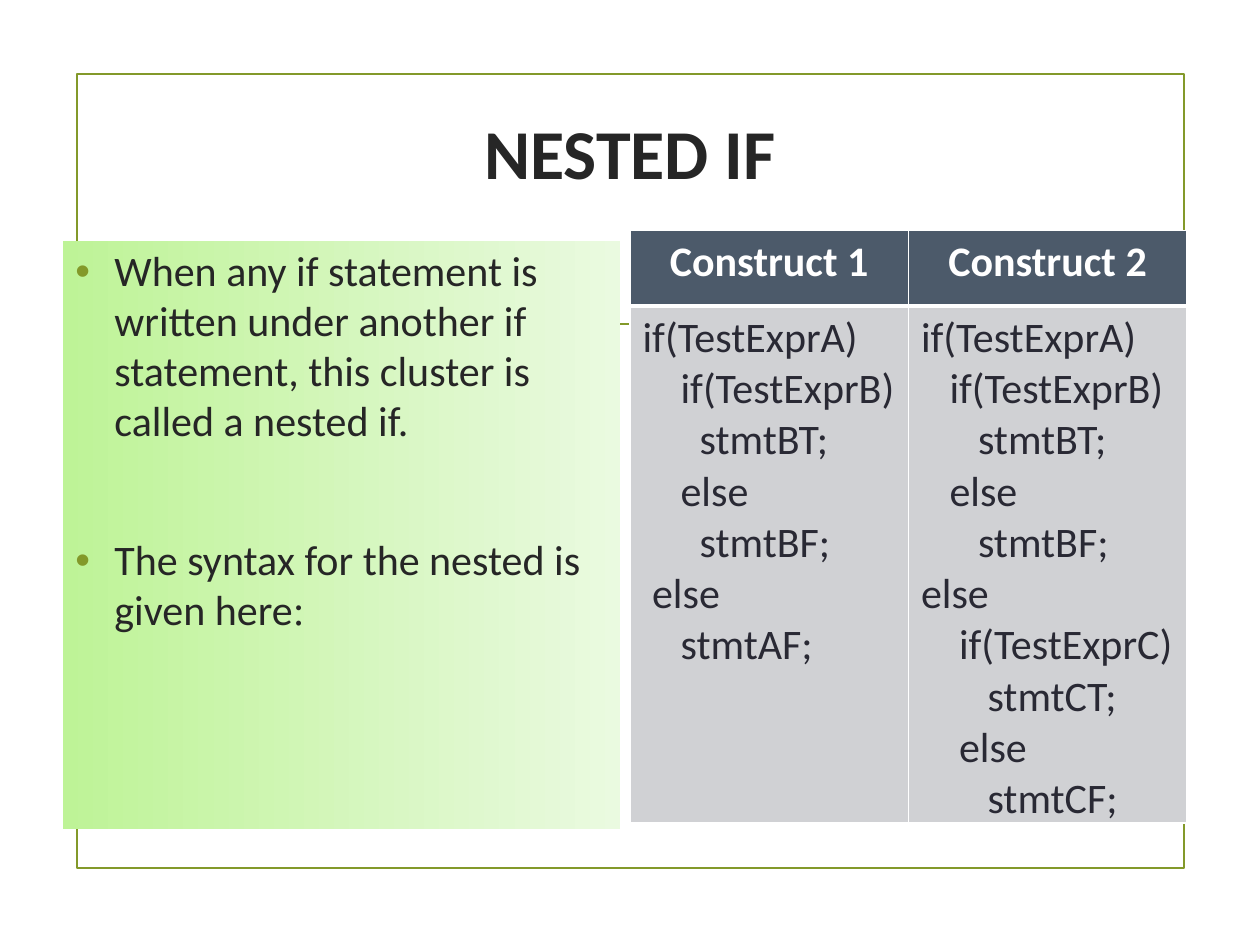
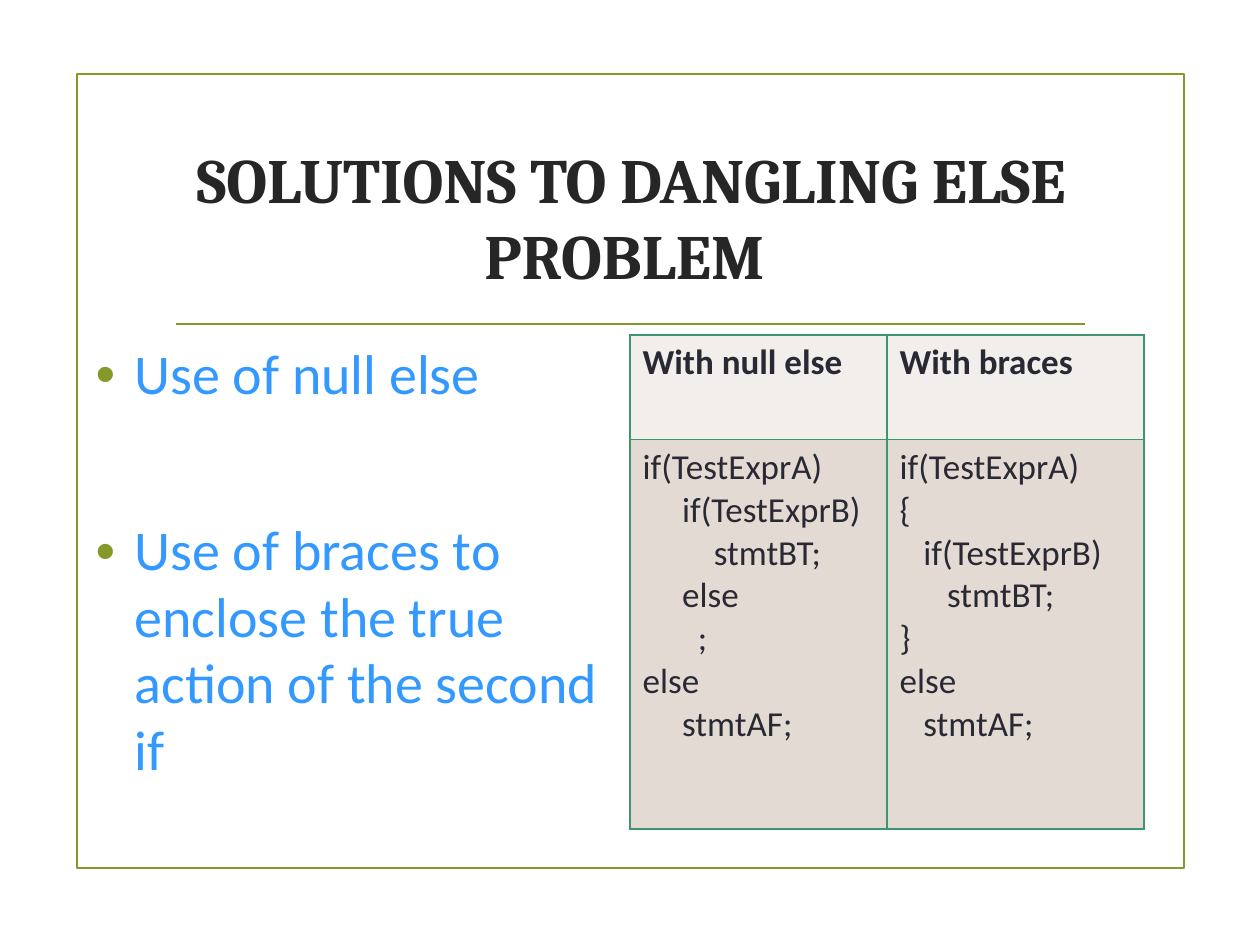
from dataclasses import dataclass

from lxml import etree
from pptx import Presentation
from pptx import util as u
from pptx.dml.color import RGBColor
from pptx.enum import shapes, text
from pptx.oxml import ns


@dataclass(frozen=True)
class Theme:
    olive: str = "83992A"
    title_ink: str = "262626"
    code_ink: str = "292934"
    white: str = "FFFFFF"
    sky: str = "3399FF"
    panel_start: str = "BEF397"
    panel_end: str = "EAFAE0"
    slate: str = "4C5A6A"
    light_gray: str = "D0D1D4"
    cream: str = "F1EEEB"
    beige: str = "E3DBD3"
    green: str = "3C9770"
    body_font: str = "Calibri"
    serif_font: str = "Cambria"
    colon_font: str = "Times New Roman"
    line_width: float = 1.25


THEME = Theme()

NESTED_ONE = """if(TestExprA)
    if(TestExprB)
      stmtBT;
    else
      stmtBF;
 else
    stmtAF;"""

NESTED_TWO = """if(TestExprA)
   if(TestExprB)
      stmtBT;
   else
      stmtBF;
else
    if(TestExprC)
       stmtCT;
    else
       stmtCF;"""

NULL_ELSE = """if(TestExprA)
     if(TestExprB)
         stmtBT;
     else
       ;
else
     stmtAF;"""

BRACES = """if(TestExprA)
{
   if(TestExprB)
      stmtBT;
}
else
   stmtAF;"""


def rgb(color):
    return RGBColor.from_string(color)


def add_element(parent, tag, **attributes):
    return etree.SubElement(parent, ns.qn(tag), attributes)


def set_font(paragraph, name, size, color, bold=False):
    font = paragraph.font
    font.name, font.size, font.bold = name, u.Pt(size), bold
    font.color.rgb = rgb(color)


def inches(*lengths):
    return [u.Inches(length) for length in lengths]


# Shared frame, rule and title
def add_frame(slide):
    frame = slide.shapes.add_shape(
        shapes.MSO_SHAPE.RECTANGLE, *inches(0.61, 0.59, 8.79, 6.3))
    frame.shadow.inherit = False
    frame.fill.background()
    rule = slide.shapes.add_connector(
        shapes.MSO_CONNECTOR.STRAIGHT, *inches(1.4, 2.57, 8.61, 2.57))
    add_element(rule._element.spPr, "a:effectLst")
    for shape in (frame, rule):
        shape.line.color.rgb = rgb(THEME.olive)
        shape.line.width = u.Pt(THEME.line_width)


def add_titled_slide(presentation, title_text, box, font, size):
    slide = presentation.slides.add_slide(presentation.slide_layouts[5])
    add_frame(slide)
    title = slide.shapes.title
    title.left, title.top, title.width, title.height = inches(*box)
    frame = title.text_frame
    frame.text = title_text
    frame.word_wrap = True
    frame.auto_size = text.MSO_AUTO_SIZE.NONE
    frame.vertical_anchor = text.MSO_ANCHOR.MIDDLE
    paragraph = frame.paragraphs[0]
    paragraph.alignment = text.PP_ALIGN.CENTER
    set_font(paragraph, font, size, THEME.title_ink, bold=True)
    return slide


# Bulleted text
def add_bullet(paragraph):
    hanging = u.Inches(0.31)
    properties = paragraph._p.get_or_add_pPr()
    properties.set("marL", str(hanging))
    properties.set("indent", str(-hanging))
    color = add_element(properties, "a:buClr")
    add_element(color, "a:srgbClr", val=THEME.olive)
    add_element(properties, "a:buFont", typeface="Arial")
    add_element(properties, "a:buChar", char="•")


def add_bullet_list(slide, box, items, size, color, gap):
    panel = slide.shapes.add_textbox(*inches(*box))
    frame = panel.text_frame
    frame.word_wrap = True
    for index, item in enumerate(items):
        paragraph = frame.add_paragraph() if index else frame.paragraphs[0]
        paragraph.text = item
        paragraph.line_spacing = 0.99
        if index:
            paragraph.space_before = u.Pt(gap)
        add_bullet(paragraph)
        set_font(paragraph, THEME.body_font, size, color)
    return panel


def fill_with_gradient(shape, start, end):
    shape.fill.gradient()
    shape.fill.gradient_angle = 0
    for stop, color in zip(shape.fill.gradient_stops, (start, end)):
        stop.color.rgb = rgb(color)


# Code tables
def set_borders(cell, color, widths):
    properties = cell._tc.get_or_add_tcPr()
    for side, width in zip("LRTB", widths):
        line = add_element(properties, f"a:ln{side}", w=str(u.Pt(width)))
        fill = add_element(line, "a:solidFill")
        add_element(fill, "a:srgbClr", val=color)


def add_code_table(slide, position, column_width, row_heights, rows, size,
                   fills, header_color, header_align, border, divider):
    table = slide.shapes.add_table(
        2, 2, *inches(*position, 2 * column_width, sum(row_heights))).table
    table.first_row = table.horz_banding = False
    for column in table.columns:
        column.width = u.Inches(column_width)
    for index, (row, height) in enumerate(zip(table.rows, row_heights)):
        row.height = u.Inches(height)
        is_header = index == 0
        widths = (1, 1, 1, divider) if is_header else (1, 1, divider, 1)
        for cell, content in zip(row.cells, rows[index]):
            set_borders(cell, border, widths)
            cell.fill.solid()
            cell.fill.fore_color.rgb = rgb(fills[index])
            cell.text = content
            for paragraph in cell.text_frame.paragraphs:
                paragraph.alignment = (
                    header_align if is_header else text.PP_ALIGN.LEFT)
                set_font(paragraph, THEME.body_font, size,
                         header_color if is_header else THEME.code_ink,
                         bold=is_header)


def build_nested_if(presentation):
    slide = add_titled_slide(presentation, "NESTED IF",
                             (0.58, 0.49, 8.84, 1.43), THEME.body_font, 40)
    panel = add_bullet_list(
        slide, (0.5, 1.91, 4.42, 4.67),
        ["When any if statement is written under another if statement, "
         "this cluster is called a nested if.",
         "The syntax for the nested is given here"],
        size=24, color=THEME.title_ink, gap=50.8)
    fill_with_gradient(panel, THEME.panel_start, THEME.panel_end)
    colon = panel.text_frame.paragraphs[-1].add_run()
    colon.text = ":"
    colon.font.name = THEME.colon_font
    add_code_table(
        slide, (5, 1.83), 2.21, (0.6, 4.1),
        [("Construct 1", "Construct 2"), (NESTED_ONE, NESTED_TWO)], size=24,
        fills=(THEME.slate, THEME.light_gray), header_color=THEME.white,
        header_align=text.PP_ALIGN.CENTER, border=THEME.white, divider=3)


def build_dangling_else(presentation):
    slide = add_titled_slide(presentation, "SOLUTIONS TO DANGLING ELSE PROBLEM ",
                             (1.29, 1, 7.44, 1.43), THEME.serif_font, 36)
    add_bullet_list(
        slide, (0.66, 2.66, 4.42, 4.03),
        ["Use of null else",
         "Use of braces to enclose the true action of the second if"],
        size=32, color=THEME.sky, gap=62.8)
    add_code_table(
        slide, (5, 2.66), 2.04, (0.83, 3.09),
        [("With null else", "With braces"), (NULL_ELSE, BRACES)], size=20,
        fills=(THEME.cream, THEME.beige), header_color=THEME.code_ink,
        header_align=text.PP_ALIGN.LEFT, border=THEME.green, divider=1)


def main():
    presentation = Presentation()
    presentation.slide_width = u.Inches(10)
    presentation.slide_height = u.Inches(7.5)
    build_nested_if(presentation)
    build_dangling_else(presentation)
    presentation.save("out.pptx")


if __name__ == "__main__":
    main()
